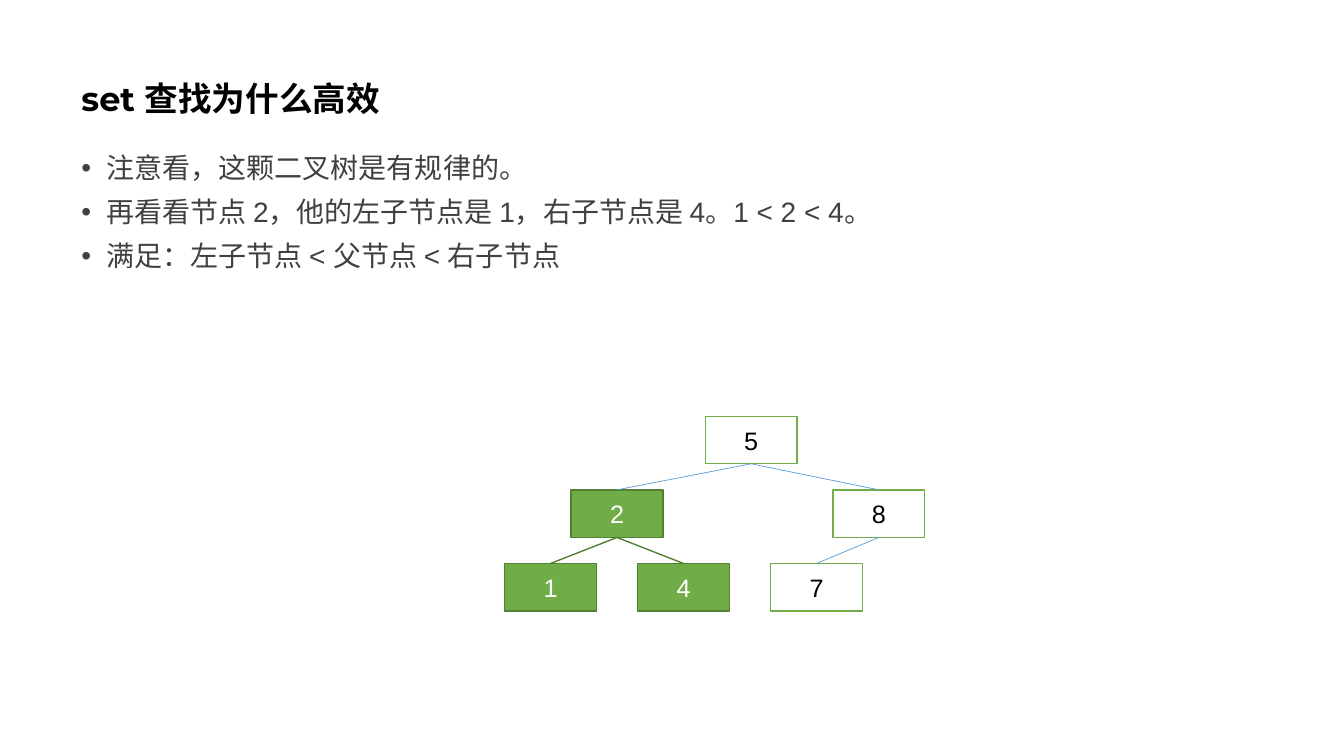
import pptx
import pptx.dml.color
import pptx.enum.shapes
import pptx.enum.text
import pptx.oxml.ns
import pptx.util
import lxml.etree

Pt = pptx.util.Pt
ALIGN = pptx.enum.text.PP_ALIGN
ANCHOR = pptx.enum.text.MSO_ANCHOR

TITLE = "set 查找为什么高效"
POINTS = [
    "注意看，这颗二叉树是有规律的。",
    "再看看节点 2，他的左子节点是 1，右子节点是 4。1 < 2 < 4。",
    "满足：左子节点 < 父节点 < 右子节点",
]

# Tree nodes: value -> (left offset, level, highlighted)
NODES = {
    "5": (143.3, 0, False),
    "2": (47.5, 1, True),
    "8": (234.5, 1, False),
    "1": (0, 2, True),
    "4": (95, 2, True),
    "7": (190, 2, False),
}
EDGES = [("2", "1"), ("2", "4"), ("5", "2"), ("5", "8"), ("8", "7")]
NODE_WIDTH, NODE_HEIGHT, LEVEL_STEP = 65.5, 34, 52.6


def color(code):
    return pptx.dml.color.RGBColor.from_string(code)


def add_drawing_tag(parent, tag, **attributes):
    return lxml.etree.SubElement(parent, pptx.oxml.ns.qn(tag), attributes)


def write(para, text, size=18, font="Arial", ink="000000", bold=False,
          align=ALIGN.LEFT, line_spacing=1.0, before=0):
    para.alignment = align
    para.line_spacing = line_spacing
    para.space_before = Pt(before)
    span = para.add_run()
    span.text = text
    span.font.size = Pt(size)
    span.font.name = font
    span.font.bold = bold
    span.font.color.rgb = color(ink)


def fill_title(page, left, top, width, height):
    title = page.shapes.title
    title.left, title.top = Pt(left), Pt(top)
    title.width, title.height = Pt(width), Pt(height)
    frame = title.text_frame
    frame.auto_size = pptx.enum.text.MSO_AUTO_SIZE.NONE
    frame.vertical_anchor = ANCHOR.MIDDLE
    write(frame.paragraphs[0], TITLE, size=24, font="Montserrat", bold=True,
          line_spacing=0.9)


def add_points(page, left, top, width, height):
    box = page.shapes.add_textbox(Pt(left), Pt(top), Pt(width), Pt(height))
    frame = box.text_frame
    frame.word_wrap = True
    for index, text in enumerate(POINTS):
        para = frame.add_paragraph() if index else frame.paragraphs[0]
        write(para, text, size=20, ink="404040", line_spacing=0.9, before=10)
        # Hanging bullet
        properties = para._p.get_or_add_pPr()
        properties.set("marL", str(Pt(18)))
        properties.set("indent", str(-Pt(18)))
        add_drawing_tag(properties, "a:buFont", typeface="Arial")
        add_drawing_tag(properties, "a:buChar", char="•")


def add_node(page, value, left, top, highlighted):
    node = page.shapes.add_shape(
        pptx.enum.shapes.MSO_SHAPE.RECTANGLE,
        Pt(left), Pt(top), Pt(NODE_WIDTH), Pt(NODE_HEIGHT))
    node.shadow.inherit = False
    node.fill.solid()
    node.fill.fore_color.rgb = color("70AD47" if highlighted else "FFFFFF")
    node.line.color.rgb = color("538035" if highlighted else "70AD47")
    node.line.width = Pt(1)
    node.text_frame.vertical_anchor = ANCHOR.MIDDLE
    write(node.text_frame.paragraphs[0], value, align=ALIGN.CENTER,
          ink="FFFFFF" if highlighted else "000000")
    return node


def add_edge(page, parent, child, highlighted):
    edge = page.shapes.add_connector(
        pptx.enum.shapes.MSO_CONNECTOR.STRAIGHT, 0, 0, 0, 0)
    edge.begin_connect(child, 0)
    edge.end_connect(parent, 2)
    edge.line.color.rgb = color("538035" if highlighted else "5B9BD5")
    edge.line.width = Pt(1 if highlighted else 0.5)
    add_drawing_tag(edge._element.spPr, "a:effectLst")


def add_tree(page, left, top):
    shapes = {
        value: add_node(page, value, left + offset, top + level * LEVEL_STEP,
                        highlighted)
        for value, (offset, level, highlighted) in NODES.items()
    }
    for parent, child in EDGES:
        add_edge(page, shapes[parent], shapes[child], NODES[parent][2])


def main():
    deck = pptx.Presentation()
    deck.slide_width, deck.slide_height = Pt(960), Pt(540)
    page = deck.slides.add_slide(deck.slide_layouts.get_by_name("Title Only"))
    fill_title(page, 51, 20, 828, 104.4)
    add_points(page, 51, 106.5, 870.5, 342.7)
    add_tree(page, 360.5, 297.3)
    deck.save("out.pptx")


if __name__ == "__main__":
    main()
